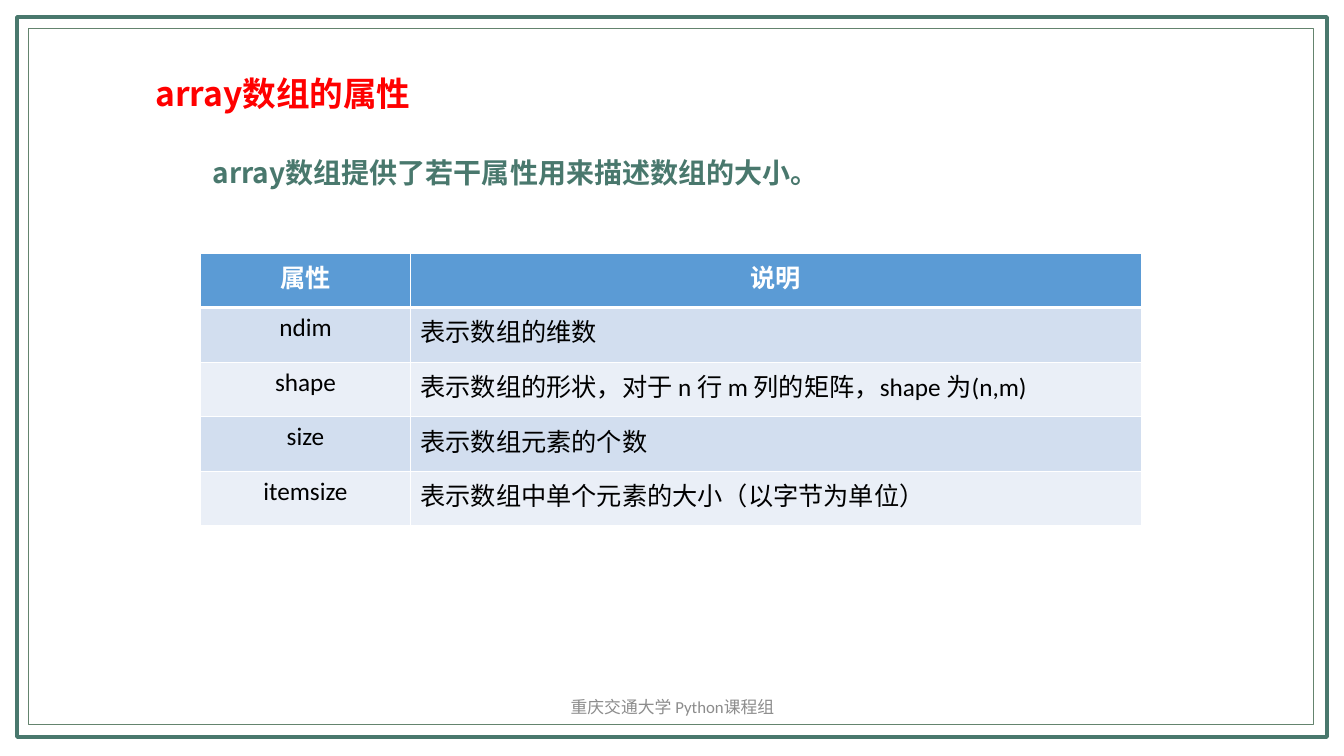
from pptx import Presentation
from pptx.dml.color import RGBColor
from pptx.enum import shapes, text
from pptx.oxml import ns
from pptx.util import Inches, Pt
from lxml import etree

COLORS = {
    "frame": "49786D", "inner": "64846E", "title": "FF0000", "footer": "8C8C8C",
    "header": "5B9BD5", "band": "D2DEEF", "light": "EAEFF7",
    "white": "FFFFFF", "black": "000000",
}
LATIN, CJK = "Calibri", "Noto Sans CJK SC"
ATTRIBUTES = [
    ("属性", "说明"),
    ("ndim", "表示数组的维数"),
    ("shape", "表示数组的形状，对于 n 行 m 列的矩阵，shape 为(n,m)"),
    ("size", "表示数组元素的个数"),
    ("itemsize", "表示数组中单个元素的大小（以字节为单位）"),
]


def rgb(name):
    return RGBColor.from_string(COLORS[name])


class SlideBuilder:
    def __init__(self, prs, layout):
        self.slide = prs.slides.add_slide(prs.slide_layouts[layout])

    def place(self, sp, box):
        sp.left, sp.top, sp.width, sp.height = map(Inches, box)

    def set_text(self, tf, content, size, color, font=LATIN, bold=False, align=None):
        tf.text = content
        p = tf.paragraphs[0]
        p.alignment = align
        r = p.runs[0]
        r.font.size, r.font.bold, r.font.name = Pt(size), bold, font
        r.font.color.rgb = rgb(color)
        ea = etree.SubElement(r._r.get_or_add_rPr(), ns.qn("a:ea"))
        ea.set("typeface", CJK)
        return p

    def frame(self, box, color, width):
        sp = self.slide.shapes.add_shape(shapes.MSO_SHAPE.RECTANGLE, *map(Inches, box))
        sp.shadow.inherit = False
        sp.fill.background()
        sp.line.color.rgb = rgb(color)
        sp.line.width = Pt(width)

    def heading(self, sp, box, content, size, color, indent=0):
        self.place(sp, box)
        tf = sp.text_frame
        tf.word_wrap = True
        tf.vertical_anchor = text.MSO_ANCHOR.TOP
        tf.auto_size = text.MSO_AUTO_SIZE.SHAPE_TO_FIT_TEXT
        p = self.set_text(tf, content, size, color, CJK, True, text.PP_ALIGN.JUSTIFY)
        pPr = p._p.get_or_add_pPr()
        pPr.set("marL", "0")
        pPr.set("indent", str(Inches(indent)))
        etree.SubElement(pPr, ns.qn("a:buNone"))
        p.line_spacing = 1.5
        p.space_before = Pt(0)

    def footer(self, box, content):
        sp = self.slide.shapes.add_textbox(*map(Inches, box))
        tf = sp.text_frame
        tf.word_wrap = True
        tf.vertical_anchor = text.MSO_ANCHOR.MIDDLE
        self.set_text(tf, content, 12, "footer", align=text.PP_ALIGN.CENTER)

    def borders(self, cell, bottom):
        tcPr = cell._tc.get_or_add_tcPr()
        for side, width in zip("LRTB", (1, 1, 1, bottom)):
            ln = etree.SubElement(tcPr, ns.qn("a:ln" + side), w=str(Pt(width)))
            fill = etree.SubElement(ln, ns.qn("a:solidFill"))
            etree.SubElement(fill, ns.qn("a:srgbClr"), val=COLORS["white"])

    def table(self, box, widths, rows):
        table = self.slide.shapes.add_table(
            len(rows), len(widths), *map(Inches, box)).table
        for column, width in zip(table.columns, widths):
            column.width = Inches(width)
        for i, row in enumerate(rows):
            header = i == 0
            fill = "header" if header else ("light", "band")[i % 2]
            for j, content in enumerate(row):
                cell = table.cell(i, j)
                centred = header or j == 0
                self.borders(cell, 3 if header else 1)
                cell.fill.solid()
                cell.fill.fore_color.rgb = rgb(fill)
                self.set_text(cell.text_frame, content, 18,
                              "white" if header else "black", bold=header,
                              align=text.PP_ALIGN.CENTER if centred else text.PP_ALIGN.LEFT)


def main():
    prs = Presentation()
    prs.slide_width, prs.slide_height = Inches(13.33), Inches(7.5)
    s = SlideBuilder(prs, 1)
    title, body = s.slide.placeholders
    s.frame((0.17, 0.17, 12.99, 7.14), "frame", 3)
    s.frame((0.28, 0.28, 12.75, 6.91), "inner", 0.5)
    s.footer((4.42, 6.81, 4.5, 0.4), "重庆交通大学 Python课程组")
    s.heading(title, (1.44, 0.47, 3.28, 0.71), "array数组的属性", 24, "title")
    s.heading(body, (1.51, 1.33, 10.45, 0.6),
              "array数组提供了若干属性用来描述数组的大小。", 20, "frame", 0.5)
    s.table((1.99, 2.51, 9.33, 2.71), (2.08, 7.25), ATTRIBUTES)
    prs.save("out.pptx")


if __name__ == "__main__":
    main()
